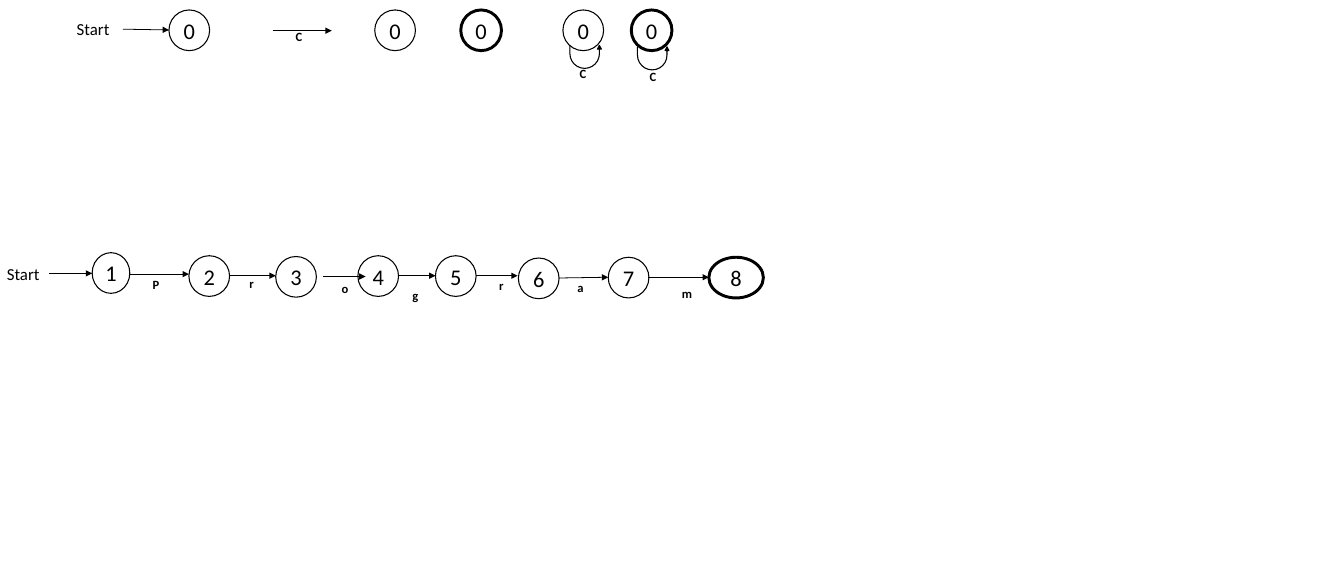
import pptx
import pptx.dml.color
import pptx.enum.shapes
import pptx.enum.text
import pptx.oxml
import pptx.oxml.ns
import pptx.util

Inches = pptx.util.Inches
Pt = pptx.util.Pt
SHAPES = pptx.enum.shapes.MSO_SHAPE
INK = "000000"
FONT = "Calibri"
DIAMETER = 0.53
PLAIN, ACCEPTING = 1, 2.75

STATES = [
    ("1", 1.2, 3.29, 0.49, PLAIN),
    ("2", 2.46, 3.33, DIAMETER, PLAIN),
    ("3", 3.59, 3.34, DIAMETER, PLAIN),
    ("4", 4.66, 3.33, DIAMETER, PLAIN),
    ("5", 5.67, 3.33, DIAMETER, PLAIN),
    ("6", 6.75, 3.36, DIAMETER, PLAIN),
    ("7", 7.92, 3.35, DIAMETER, PLAIN),
    ("8", 9.23, 3.35, 0.71, ACCEPTING),
]
TRANSITIONS = [
    ("P", (1.69, 3.57), (2.46, 3.57), (1.89, 3.56)),
    ("r", (2.98, 3.59), (3.59, 3.59), (3.15, 3.54)),
    ("o", (4.2, 3.6), (4.76, 3.6), (4.35, 3.61)),
    ("g", (5.18, 3.59), (5.67, 3.59), (5.27, 3.7)),
    ("r", (6.2, 3.59), (6.74, 3.59), (6.4, 3.57)),
    ("a", (7.28, 3.62), (7.92, 3.61), (7.42, 3.59)),
    ("m", (8.44, 3.61), (9.23, 3.61), (8.78, 3.67)),
]


def color(hex_string):
    return pptx.dml.color.RGBColor.from_string(hex_string)


def write(frame, text, size, bold=False):
    frame.word_wrap = True
    paragraph = frame.paragraphs[0]
    paragraph.text = text
    paragraph.font.name = FONT
    paragraph.font.size = Pt(size)
    paragraph.font.bold = bold
    paragraph.font.color.rgb = color(INK)
    return paragraph


def outline(shape, width):
    shape.shadow.inherit = False
    shape.line.color.rgb = color(INK)
    shape.line.width = Pt(width)


def add_label(shapes, text, left, top, width=0.22, height=0.3, size=11.8, bold=True):
    label = shapes.add_textbox(Inches(left), Inches(top), Inches(width), Inches(height))
    write(label.text_frame, text, size, bold)


def add_arrow(shapes, start, end):
    arrow = shapes.add_connector(
        pptx.enum.shapes.MSO_CONNECTOR.STRAIGHT, *map(Inches, start + end)
    )
    arrow.line.color.rgb = color(INK)
    arrow.line.width = Pt(0.75)
    line = arrow.line._get_or_add_ln()
    head = pptx.oxml.parse_xml(
        '<a:tailEnd %s type="triangle"/>' % pptx.oxml.ns.nsdecls("a")
    )
    line.append(head)
    effects = pptx.oxml.parse_xml("<a:effectLst %s/>" % pptx.oxml.ns.nsdecls("a"))
    line.addnext(effects)


def add_state(shapes, number, left, top, width=DIAMETER, weight=PLAIN):
    state = shapes.add_shape(
        SHAPES.OVAL, Inches(left), Inches(top), Inches(width), Inches(DIAMETER)
    )
    state.fill.background()
    outline(state, weight)
    frame = state.text_frame
    frame.margin_left = frame.margin_right = 0
    frame.margin_top = frame.margin_bottom = 0
    frame.vertical_anchor = pptx.enum.text.MSO_ANCHOR.MIDDLE
    write(frame, number, 21).alignment = pptx.enum.text.PP_ALIGN.CENTER


def add_start(slide, label_at, label_width, arrow_start, arrow_end, number, state_at, width):
    shapes = slide.shapes.add_group_shape().shapes
    add_label(shapes, "Start", *label_at, label_width, 0.37, 15.8, False)
    add_arrow(shapes, arrow_start, arrow_end)
    add_state(shapes, number, *state_at, width)


def add_transition(slide, symbol, start, end, label_at):
    shapes = slide.shapes.add_group_shape().shapes
    add_arrow(shapes, start, end)
    add_label(shapes, symbol, *label_at)


def add_looping_state(slide, left, weight, loop_at, label_at):
    shapes = slide.shapes.add_group_shape().shapes
    add_state(shapes, "0", left, 0.13, weight=weight)
    loop = shapes.add_shape(
        SHAPES.U_TURN_ARROW, *map(Inches, loop_at), Inches(0.41), Inches(0.3)
    )
    for index, value in enumerate((0, 0.085, 0.164, 0.717, 1)):
        loop.adjustments[index] = value
    loop.rotation = 180
    loop.element.spPr.find(pptx.oxml.ns.qn("a:xfrm")).set("flipH", "1")
    loop.fill.solid()
    loop.fill.fore_color.rgb = color(INK)
    outline(loop, 1)
    add_label(shapes, "C", *label_at)


def add_legend(slide):
    add_start(slide, (0.9, 0.2), 0.7, (1.6, 0.38), (2.2, 0.39), "0", (2.2, 0.13), DIAMETER)
    add_transition(slide, "C", (3.55, 0.4), (4.32, 0.4), (3.75, 0.33))
    add_state(slide.shapes, "0", 4.88, 0.13)
    add_state(slide.shapes, "0", 6, 0.13, weight=ACCEPTING)
    add_looping_state(slide, 7.33, PLAIN, (7.42, 0.59), (7.45, 0.81))
    add_looping_state(slide, 8.22, ACCEPTING, (8.3, 0.61), (8.36, 0.85))


def add_automaton(slide):
    number, left, top, width, _ = STATES[0]
    add_start(
        slide, (-0.01, 3.38), 0.66, (0.64, 3.56), (1.2, 3.56), number, (left, top), width
    )
    for transition, state in zip(TRANSITIONS, STATES[1:]):
        add_transition(slide, *transition)
        add_state(slide.shapes, *state)


def main():
    presentation = pptx.Presentation()
    presentation.slide_width = Inches(17.5)
    presentation.slide_height = Inches(7.5)
    slide = presentation.slides.add_slide(presentation.slide_layouts[6])
    add_legend(slide)
    add_automaton(slide)
    presentation.save("out.pptx")


main()
